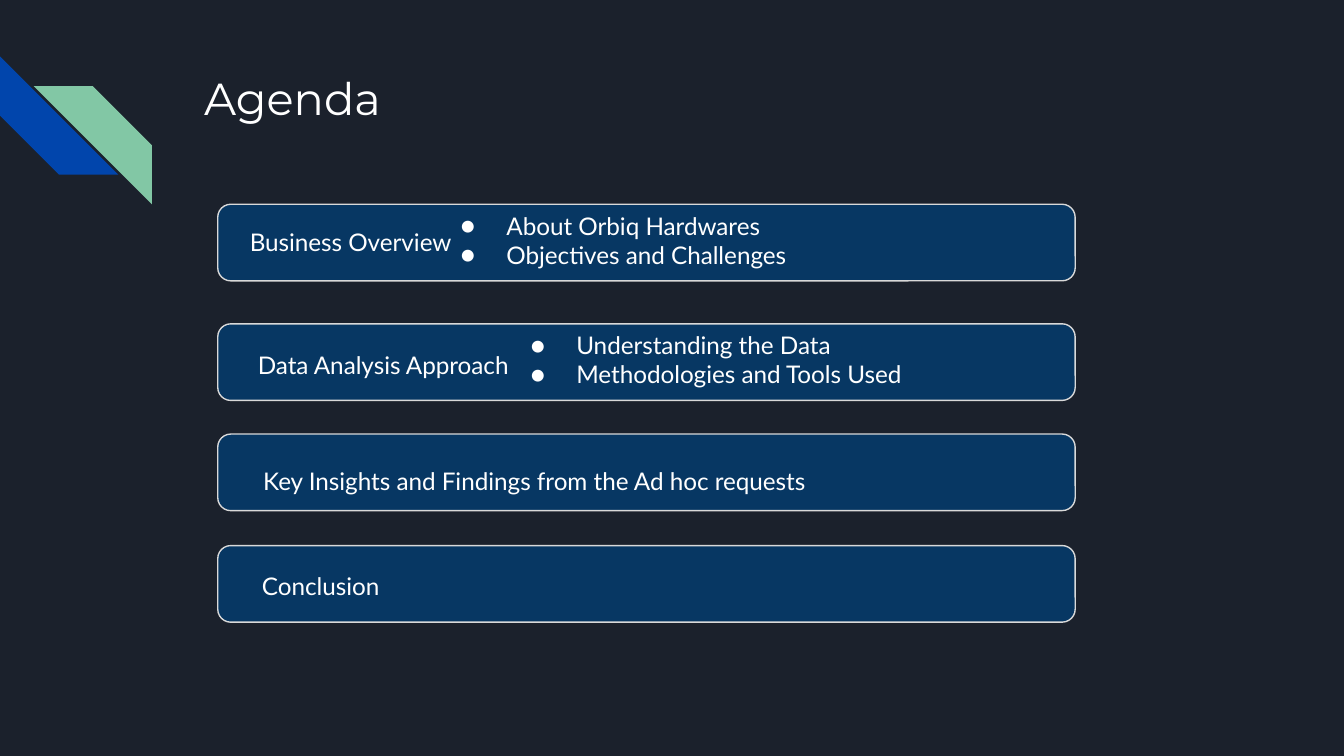
from lxml import etree
from pptx import Presentation
from pptx.dml.color import RGBColor
from pptx.enum.shapes import MSO_SHAPE
from pptx.oxml.ns import qn
from pptx.util import Inches, Pt

ROUND = MSO_SHAPE.ROUNDED_RECTANGLE
STRIPE = MSO_SHAPE.DIAGONAL_STRIPE

THEME = {
    "back": "1B212C", "text": "FFFFFF", "bar": "073763", "edge": "D9D9D9",
    "blue": "0145AC", "green": "82C7A5",
    "head": ("Montserrat", 24), "body": ("Lato", 13),
}

TITLE = "Agenda"
# bar top, label, label place (left, top, width, height), points, points' left
ROWS = [
    (1.52, "Business Overview", (1.76, 1.59, 1.82, 0.3),
     ["About Orbiq Hardwares", "Objectives and Challenges"], 3.17),
    (2.41, "Data Analysis Approach", (1.82, 2.51, 2.11, 0.34),
     ["Understanding the Data", "Methodologies and Tools Used"], 3.69),
    (3.23, "Key Insights and Findings from the Ad hoc requests",
     (1.86, 3.37, 5.59, 0.34), [], None),
    (4.06, "Conclusion", (1.85, 4.15, 2.11, 0.34), [], None),
]
# left, top, turn, colour
STRIPES = [(0, 0.42, 270, "blue"), (0.25, 0.64, 90, "green")]

WIDE = Inches(10)
HIGH = WIDE * 9 // 16
BAR_LEFT, BAR_WIDE, BAR_HIGH = 1.62, 6.38, 0.57
SIDE = 0.88
LIFT = 0.05  # points start this far above their bar


def color(name):
    return RGBColor.from_string(THEME[name])


def add_form(slide, kind, place, fill):
    form = slide.shapes.add_shape(kind, *map(Inches, place))
    form.shadow.inherit = False
    form.fill.solid()
    form.fill.fore_color.rgb = color(fill)
    form.line.fill.background()
    return form


def add_bullet(para, face):
    props = para._p.get_or_add_pPr()
    props.set("marL", str(Inches(0.5)))
    props.set("indent", str(Inches(-0.34)))
    tint = etree.SubElement(props, qn("a:buClr"))
    etree.SubElement(tint, qn("a:srgbClr"), val=THEME["text"])
    etree.SubElement(props, qn("a:buFont"), typeface=face)
    etree.SubElement(props, qn("a:buChar"), char="●")


def add_text(slide, place, lines, style="body", bullets=False):
    frame = slide.shapes.add_textbox(*map(Inches, place)).text_frame
    frame.word_wrap = True
    frame.margin_left = frame.margin_right = Inches(0.1)
    frame.margin_top = frame.margin_bottom = Inches(0.1)
    frame.text = "\n".join(lines)
    face, size = THEME[style]
    for para in frame.paragraphs:
        if bullets:
            add_bullet(para, face)
        for run in para.runs:
            run.font.name = face
            run.font.size = Pt(size)
            run.font.color.rgb = color("text")


def main():
    deck = Presentation()
    deck.slide_width, deck.slide_height = WIDE, HIGH
    slide = deck.slides.add_slide(deck.slide_layouts[6])
    slide.background.fill.solid()
    slide.background.fill.fore_color.rgb = color("back")

    for left, top, turn, fill in STRIPES:
        add_form(slide, STRIPE, (left, top, SIDE, SIDE), fill).rotation = turn

    add_text(slide, (1.42, 0.43, 7.7, 1), [TITLE], "head")

    for top, label, place, points, start in ROWS:
        bar = add_form(slide, ROUND, (BAR_LEFT, top, BAR_WIDE, BAR_HIGH), "bar")
        bar.adjustments[0] = 0.17
        bar.line.color.rgb = color("edge")
        bar.line.width = Pt(0.75)
        add_text(slide, place, [label])
        if points:
            add_text(slide, (start, top - LIFT, 4.56, 0.66), points, bullets=True)

    deck.save("out.pptx")


if __name__ == "__main__":
    main()
